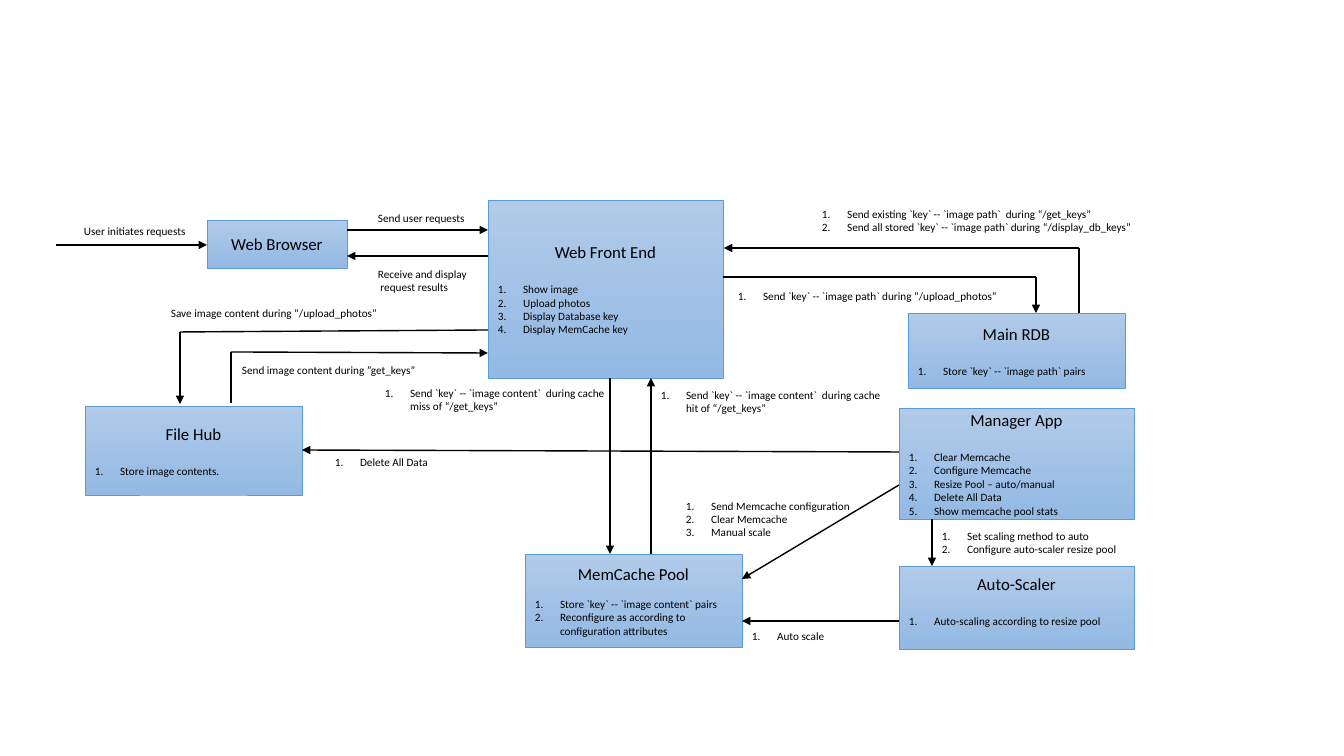
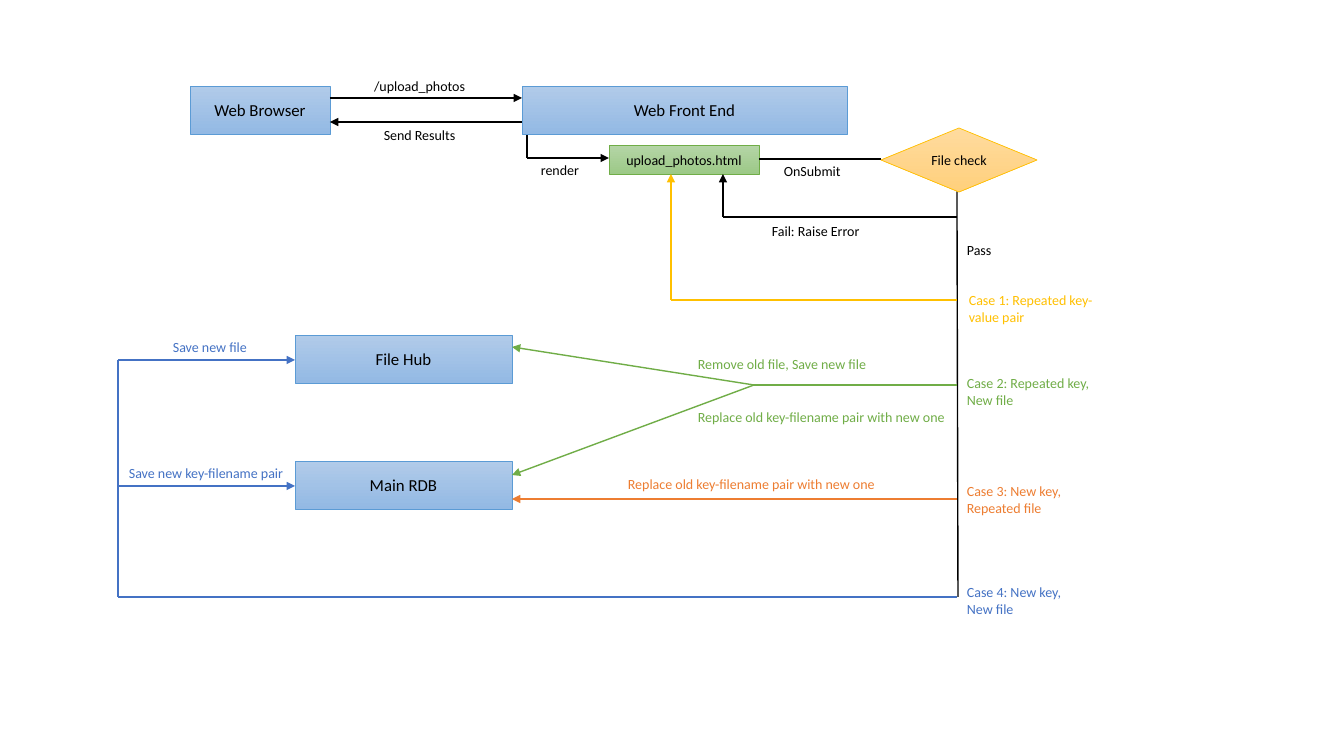
from itertools import pairwise

from lxml import etree
from pptx import Presentation
from pptx import util as u
from pptx.dml.color import RGBColor
from pptx.enum import shapes, text
from pptx.oxml.ns import qn

PX = 914400 / 100.8
FONT = "Calibri"
HEADING, BODY, NOTE = 12, 10, 8
COLORS = {
    "black": "000000", "yellow": "FFC000", "green": "70AD47",
    "orange": "ED7D31", "blue": "4472C4",
}
# Each look holds the gradient's top and bottom and the outline.
LOOKS = {
    "node": ("B1CBE9", "93B9E4", "5B9BD5"),
    "page": ("B5D5A7", "9CC987", COLORS["green"]),
    "check": ("FFDB9E", "FFD07C", COLORS["yellow"]),
}


def px(*values):
    """Turn pixels into a list of EMU lengths."""
    return [u.Emu(round(value * PX)) for value in values]


def rgb(value):
    """Return the colour of a hex string."""
    return RGBColor.from_string(value)


def write(frame, lines, size=BODY, color="black", centered=False,
          numbered=False, gap=0):
    """Add lines to a frame, filling its empty first paragraph if there is one."""
    for line in lines:
        paragraph = frame.paragraphs[-1]
        if paragraph.runs:
            paragraph = frame.add_paragraph()
        align = text.PP_ALIGN.CENTER if centered else text.PP_ALIGN.LEFT
        paragraph.alignment = align
        paragraph.space_after = u.Pt(gap)
        run = paragraph.add_run()
        run.text = line
        run.font.name, run.font.size = FONT, u.Pt(size)
        run.font.color.rgb = rgb(COLORS[color])
        if numbered:
            props = paragraph._p.get_or_add_pPr()
            props.set("marL", str(u.Inches(0.25)))
            props.set("indent", str(-u.Inches(0.25)))
            etree.SubElement(props, qn("a:buFont"), typeface="+mj-lt")
            etree.SubElement(props, qn("a:buAutoNum"), type="arabicPeriod")


def node(slide, area, title, tasks=(), size=HEADING, look="node",
         outline=shapes.MSO_SHAPE.RECTANGLE, gap=14.65, bottom=5):
    """Draw a gradient box with a title and a numbered list of tasks."""
    box = slide.shapes.add_shape(outline, *px(*area))
    box.shadow.inherit = False
    top_color, bottom_color, edge = LOOKS[look]
    box.fill.gradient()
    box.fill.gradient_angle = 270
    for stop, value in zip(box.fill.gradient_stops, (top_color, bottom_color)):
        stop.color.rgb = rgb(value)
    box.line.color.rgb = rgb(edge)
    box.line.width = u.Pt(0.5)
    frame = box.text_frame
    frame.word_wrap = True
    frame.vertical_anchor = text.MSO_ANCHOR.MIDDLE
    frame.margin_bottom = px(bottom)[0]
    write(frame, [title], size=size, centered=True, gap=gap if tasks else 0)
    write(frame, tasks, size=NOTE, numbered=True)


def label(slide, left, top, width, *lines, rows=None, size=BODY, **style):
    """Place free text whose height follows from its number of rows."""
    height = 10 + (rows or len(lines)) * size * 1.71
    box = slide.shapes.add_textbox(*px(left, top, width, height))
    box.text_frame.word_wrap = True
    box.text_frame.auto_size = text.MSO_AUTO_SIZE.SHAPE_TO_FIT_TEXT
    write(box.text_frame, lines, size=size, **style)


def route(slide, *points, color="black", arrow=True):
    """Join points by straight lines, with an arrowhead at the last one."""
    for start, end in pairwise(points):
        leg = slide.shapes.add_connector(
            shapes.MSO_CONNECTOR.STRAIGHT, *px(*start, *end))
        leg.line.color.rgb = rgb(COLORS[color])
        leg.line.width = u.Pt(1)
        etree.SubElement(leg._element.spPr, qn("a:effectLst"))
    if arrow:
        etree.SubElement(leg.line._get_or_add_ln(), qn("a:tailEnd"),
                         type="triangle")


def architecture(slide):
    """Show the services and the messages between them."""
    node(slide, (207, 220, 140, 48), "Web Browser")
    node(slide, (488, 200, 235, 178), "Web Front End",
         ["Show image ", "Upload photos ", "Display Database key",
          "Display MemCache key"])
    node(slide, (908, 313, 217, 75), "Main RDB",
         ["Store `key` -- `image path` pairs"])
    node(slide, (525, 554, 217, 93), "MemCache Pool",
         ["Store `key` -- `image content` pairs",
          "Reconfigure as according to configuration attributes"], gap=9.77)
    node(slide, (85, 406, 217, 89), "File Hub", ["Store image contents."])
    node(slide, (899, 408, 235, 111), "Manager App",
         ["Clear Memcache", "Configure Memcache",
          "Resize Pool – auto/manual", "Delete All Data",
          "Show memcache pool stats"])
    node(slide, (899, 566, 235, 83), "Auto-Scaler",
         ["Auto-scaling according to resize pool"], bottom=19)

    for points in (
        [(56, 245), (207, 245)],
        [(347, 230), (488, 230)],
        [(488, 256), (347, 256)],
        [(488, 330), (180, 332), (180, 404)],
        [(231, 403), (231, 352), (488, 353)],
        [(610, 378), (610, 554)],
        [(651, 554), (651, 378)],
        [(723, 277), (1036, 277), (1036, 313)],
        [(1079, 313), (1079, 248), (724, 248)],
        [(932, 519), (932, 566)],
        [(899, 485), (742, 579)],
        [(899, 452), (302, 450)],
        [(899, 621), (742, 621)],
    ):
        route(slide, *points)

    for left, top, width, *lines in (
        (74, 219, 183, "User initiates requests"),
        (368, 206, 151, "Send user requests"),
        (368, 262, 268, "Receive and display", " request results"),
        (161, 301, 244, "Save image content during “/upload_photos”"),
        (232, 358, 235, "Send image content during ”get_keys”"),
    ):
        label(slide, left, top, width, *lines, size=NOTE)

    for left, top, width, rows, *lines in (
        (728, 284, 308, 1, "Send `key` -- `image path` during “/upload_photos”"),
        (812, 202, 408, 2,
         "Send existing `key` -- `image path`  during “/get_keys”",
         "Send all stored `key` -- `image path` during “/display_db_keys”"),
        (375, 381, 254, 2,
         "Send `key` -- `image content`  during cache miss of “/get_keys”"),
        (651, 383, 254, 2,
         "Send `key` -- `image content`  during cache hit of “/get_keys”"),
        (932, 524, 308, 2, "Set scaling method to auto",
         "Configure auto-scaler resize pool"),
        (676, 494, 191, 3, "Send Memcache configuration", "Clear Memcache",
         "Manual scale"),
        (325, 450, 254, 1, "Delete All Data"),
        (742, 624, 308, 1, "Auto scale"),
    ):
        label(slide, left, top, width, *lines, rows=rows, size=NOTE,
              numbered=True)


def upload_flow(slide):
    """Show how an uploaded photo is checked and stored."""
    for area, title in (
        ((190, 86, 140, 48), "Web Browser"),
        ((522, 86, 325, 48), "Web Front End"),
        ((295, 335, 217, 48), "File Hub"),
        ((295, 461, 217, 48), "Main RDB"),
    ):
        node(slide, area, title)
    node(slide, (609, 145, 150, 29), "upload_photos.html", size=BODY,
         look="page")

    trunk = 957
    for points in (
        [(330, 98), (522, 98)],
        [(522, 122), (330, 122)],
        [(527, 135), (527, 158), (609, 158)],
        [(trunk, 217), (723, 217), (723, 174)],
    ):
        route(slide, *points)
    route(slide, (759, 159), (881, 159), arrow=False)
    route(slide, (trunk, 191), (trunk + 1, 597), arrow=False)
    route(slide, (trunk, 300), (671, 300), (671, 174), color="yellow")
    fork = (754, 385)
    route(slide, (trunk, 385), fork, (512, 347), color="green")
    route(slide, fork, (512, 475), color="green")
    route(slide, (trunk, 499), (512, 499), color="orange")
    route(slide, (trunk, 597), (118, 597), (118, 360), (295, 360), color="blue")
    route(slide, (118, 486), (295, 486), color="blue")
    node(slide, (881, 128, 156, 64), "File check", size=BODY, look="check",
         outline=shapes.MSO_SHAPE.DIAMOND)

    for top, line in ((73, "/upload_photos"), (122, "Send Results")):
        label(slide, 345, top, 149, line, centered=True)
    replacement = "Replace old key-filename pair with new one "
    for left, top, width, rows, color, line in (
        (531, 157, 65, 1, "black", "render "),
        (774, 158, 91, 1, "black", "OnSubmit"),
        (762, 218, 123, 1, "black", "Fail: Raise Error"),
        (957, 237, 91, 1, "black", "Pass"),
        (959, 287, 165, 2, "yellow", "Case 1: Repeated key-value pair "),
        (957, 370, 165, 2, "green", "Case 2: Repeated key, New file"),
        (957, 478, 165, 2, "orange", "Case 3: New key, Repeated file"),
        (957, 579, 134, 2, "blue", "Case 4: New key, New file"),
        (688, 351, 212, 1, "green", "Remove old file, Save new file"),
        (688, 404, 284, 1, "green", replacement),
        (618, 471, 298, 1, "orange", replacement),
        (163, 334, 165, 1, "blue", "Save new file"),
        (119, 460, 190, 1, "blue", "Save new key-filename pair"),
    ):
        label(slide, left, top, width, line, rows=rows, color=color)


def main():
    """Build both slides and save the presentation."""
    deck = Presentation()
    deck.slide_width, deck.slide_height = px(1344, 756)
    for build in (architecture, upload_flow):
        build(deck.slides.add_slide(deck.slide_layouts[6]))
    deck.save("out.pptx")


main()
